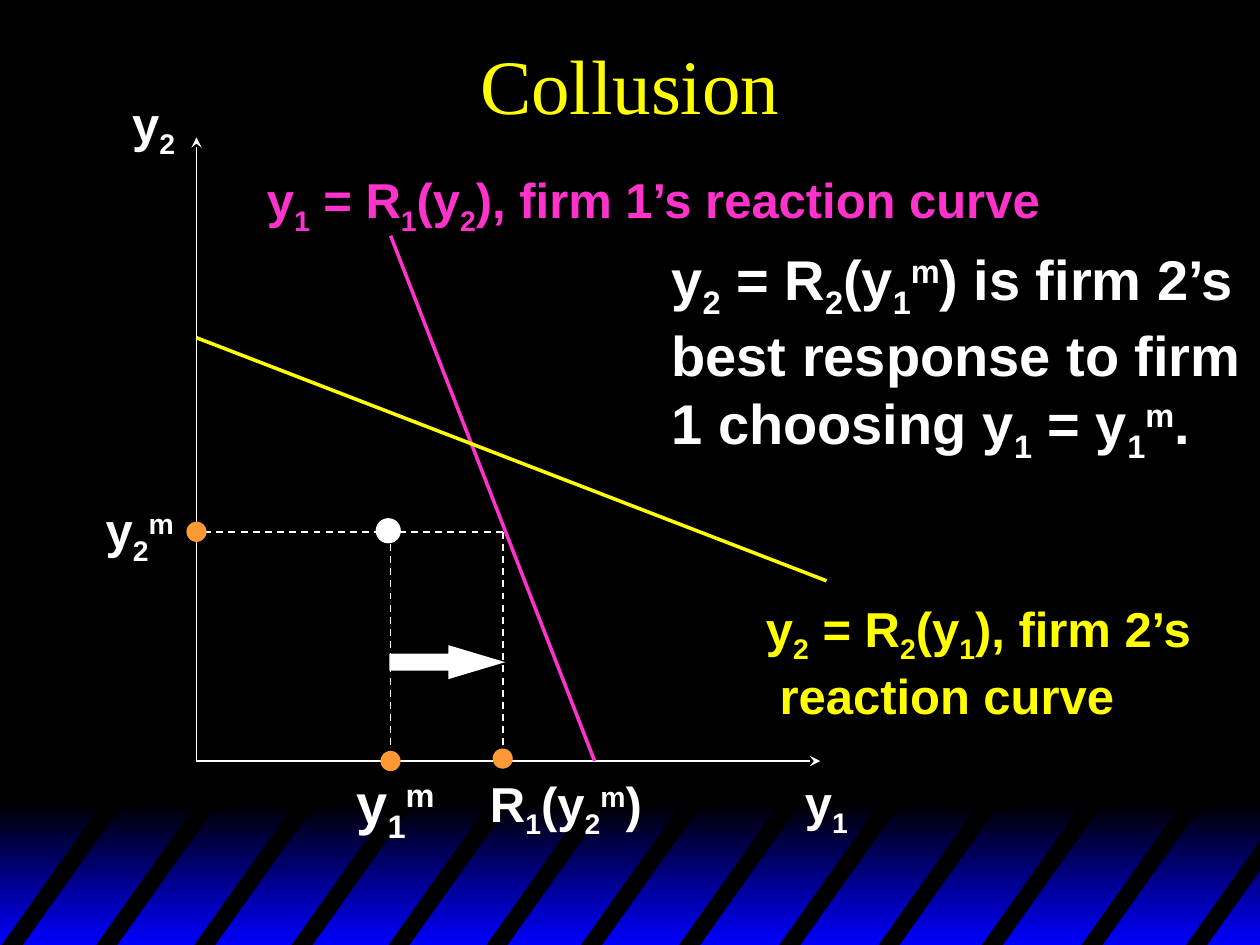
from collections import namedtuple

from lxml.etree import SubElement
from pptx import Presentation
from pptx.dml.color import RGBColor
from pptx.enum.dml import MSO_LINE
from pptx.enum.shapes import MSO_CONNECTOR, MSO_SHAPE
from pptx.enum.text import MSO_ANCHOR, MSO_AUTO_SIZE, PP_ALIGN
from pptx.oxml.ns import qn
from pptx.util import Pt

BLACK = RGBColor(0x00, 0x00, 0x00)
BLUE = RGBColor(0x00, 0x00, 0xFF)
WHITE = RGBColor(0xFF, 0xFF, 0xFF)
YELLOW = RGBColor(0xFF, 0xFF, 0x00)
PINK = RGBColor(0xFF, 0x33, 0xCC)
ORANGE = RGBColor(0xFF, 0x99, 0x33)

BASELINES = {"_": "-25000", "^": "30000"}
Box = namedtuple("Box", "left top width height")


def set_attributes(target, values):
    """Set each named attribute of the target."""
    for name, value in values.items():
        setattr(target, name, value)


def inside(box, left, top, width, height):
    """Return a box whose corner is an offset from another box."""
    return Box(box.left + left, box.top + top, width, height)


def add_run(paragraph, text, font_format, mark=None):
    """Add one run, lowered or raised when a mark asks for it."""
    if text:
        run = paragraph.add_run()
        run.text = text
        set_attributes(run.font, {k: v for k, v in font_format.items() if k != "color"})
        run.font.color.rgb = font_format["color"]
        if mark:
            run._r.get_or_add_rPr().set("baseline", BASELINES[mark])


def add_formula_line(paragraph, line, font_format):
    """Write a line in which _ lowers and ^ raises the next character."""
    plain, mark = "", None
    for character in line:
        if mark:
            add_run(paragraph, character, font_format, mark)
            mark = None
        elif character in BASELINES:
            add_run(paragraph, plain, font_format)
            plain, mark = "", character
        else:
            plain += character
    add_run(paragraph, plain, font_format)


def add_label(slide, box, paragraphs, color=WHITE, size=28):
    """Add a bold text box holding formula paragraphs."""
    frame = slide.shapes.add_textbox(*map(Pt, box)).text_frame
    set_attributes(frame, {"word_wrap": False, "auto_size": MSO_AUTO_SIZE.SHAPE_TO_FIT_TEXT})
    font_format = {"name": "Arial", "size": Pt(size), "bold": True, "color": color}
    for index, text in enumerate(paragraphs):
        paragraph = frame.add_paragraph() if index else frame.paragraphs[0]
        for number, line in enumerate(text.split("\n")):
            if number:
                paragraph.add_line_break()
            add_formula_line(paragraph, line, font_format)


def paint(shape, color):
    """Give a shape a flat fill with no outline or shadow."""
    shape.shadow.inherit = False
    shape.fill.solid()
    shape.fill.fore_color.rgb = color
    shape.line.fill.background()


def add_line(slide, box, start, end, color=WHITE, width=1, dashed=False, arrow=False):
    """Draw a straight line between two offsets in the box."""
    points = [Pt(box[axis] + point[axis]) for point in (start, end) for axis in (0, 1)]
    connector = slide.shapes.add_connector(MSO_CONNECTOR.STRAIGHT, *points)
    connector.line.color.rgb = color
    connector.line.width = Pt(width)
    if dashed:
        connector.line.dash_style = MSO_LINE.DASH
    if arrow:
        SubElement(connector.line._get_or_add_ln(), qn("a:tailEnd"), type="stealth")
    SubElement(connector._element.spPr, qn("a:effectLst"))


def add_dot(slide, box, center, diameter, color):
    """Draw a filled circle around an offset in the box."""
    x, y = center
    dot_box = inside(box, x - diameter / 2, y - diameter / 2, diameter, diameter)
    paint(slide.shapes.add_shape(MSO_SHAPE.OVAL, *map(Pt, dot_box)), color)


def add_floor(slide, box):
    """Draw the blue gradient floor with its slanted black stripes."""
    floor = slide.shapes.add_shape(MSO_SHAPE.RECTANGLE, *map(Pt, box))
    floor.shadow.inherit = False
    floor.line.fill.background()
    floor.fill.gradient()
    floor.fill.gradient_angle = 270
    for stop, position, color in zip(floor.fill.gradient_stops, (0, 1), (BLACK, BLUE)):
        stop.position = position
        stop.color.rgb = color

    thickness, run_length, rise = 12, 60.3, 85
    bottom = box.top + box.height + 1.4
    for offset in (0, 54, 110, 165.6, 221, 277, 331, 387, 444.3, 501, 560, 617, 676.8):
        feet = [box.left + offset, box.left + offset + thickness]
        reaches = [min(run_length, box.left + box.width - foot) for foot in feet]
        tips = [(foot + reach, bottom - reach * rise / run_length)
                for foot, reach in zip(feet, reaches)]
        builder = slide.shapes.build_freeform(Pt(feet[0]), Pt(bottom))
        corners = [*tips, (feet[1], bottom)]
        builder.add_line_segments([(Pt(x), Pt(y)) for x, y in corners], close=True)
        paint(builder.convert_to_shape(), BLACK)


def add_title(slide, box):
    """Write the centred slide title."""
    frame = slide.shapes.add_textbox(*map(Pt, box)).text_frame
    set_attributes(frame, {"word_wrap": True, "vertical_anchor": MSO_ANCHOR.MIDDLE})
    paragraph = frame.paragraphs[0]
    paragraph.alignment = PP_ALIGN.CENTER
    add_run(paragraph, "Collusion",
            {"name": "Times New Roman", "size": Pt(44), "color": YELLOW})


def add_reaction_diagram(slide, box):
    """Draw the axes, reaction curves, outputs and their labels."""
    floor, collusive_x, response_x, collusive_y = box.height, 110.9, 175, 225.4
    add_line(slide, box, (0, floor), (0, 0), arrow=True)
    add_line(slide, box, (0, floor), (box.width, floor), arrow=True)
    for x in (collusive_x, response_x):
        add_line(slide, box, (x, collusive_y), (x, floor), dashed=True)
    add_line(slide, box, (response_x, collusive_y), (0, collusive_y), dashed=True)
    add_line(slide, box, (227.5, floor), (collusive_x, 56.2), PINK, 2)
    add_line(slide, box, (0, 114.5), (360, 253.4), YELLOW, 2)

    for center in ((collusive_x, floor), (0, collusive_y), (response_x, 355)):
        add_dot(slide, box, center, 11.5, ORANGE)
    add_dot(slide, box, (109.6, 224.8), 14.4, WHITE)

    arrow_box = inside(box, 110.2, 290.2, 66.2, 19.4)
    arrow = slide.shapes.add_shape(MSO_SHAPE.RIGHT_ARROW, *map(Pt, arrow_box))
    arrow.adjustments[1] = 1.67
    paint(arrow, WHITE)

    labels = (
        ("y_2", (-43.9, -28.8, 38.9, 45.4), WHITE, 28),
        ("y_1", (340.6, 359.3, 38.9, 45.4), WHITE, 28),
        ("y_2^m", (-59, 203.7, 53.3, 45.4), WHITE, 28),
        ("y_1^m", (84.3, 357.1, 59, 51.1), WHITE, 32),
        ("R_1(y_2^m)", (160.6, 360, 101.5, 45.4), WHITE, 28),
        ("y_1 = R_1(y_2), firm 1’s reaction curve", (33.1, 15.1, 457.2, 45.4), PINK, 28),
        ("y_2 = R_2(y_1), firm 2’s\n reaction curve", (318.3, 259.9, 258.5, 79.2), YELLOW, 28),
    )
    for text, place, color, size in labels:
        add_label(slide, inside(box, *place), [text], color, size)


def add_response_note(slide, box):
    """Write the explanation of the best response of firm 2."""
    add_label(slide, box, ["y_2 = R_2(y_1^m) is firm 2’s\nbest response to firm",
                           "1 choosing y_1 = y_1^m."], size=32)


def main():
    """Build and save the slide."""
    presentation = Presentation()
    set_attributes(presentation, {"slide_width": Pt(720), "slide_height": Pt(540)})
    slide = presentation.slides.add_slide(presentation.slide_layouts[6])
    slide.background.fill.solid()
    slide.background.fill.fore_color.rgb = BLACK
    add_floor(slide, Box(0, 459.4, 721.5, 80.6))
    add_title(slide, Box(0, 0, 720, 96))
    add_reaction_diagram(slide, Box(112.3, 78.5, 356.4, 356.4))
    add_response_note(slide, Box(376.6, 136.1, 340.6, 133.2))
    presentation.save("out.pptx")


if __name__ == "__main__":
    main()
